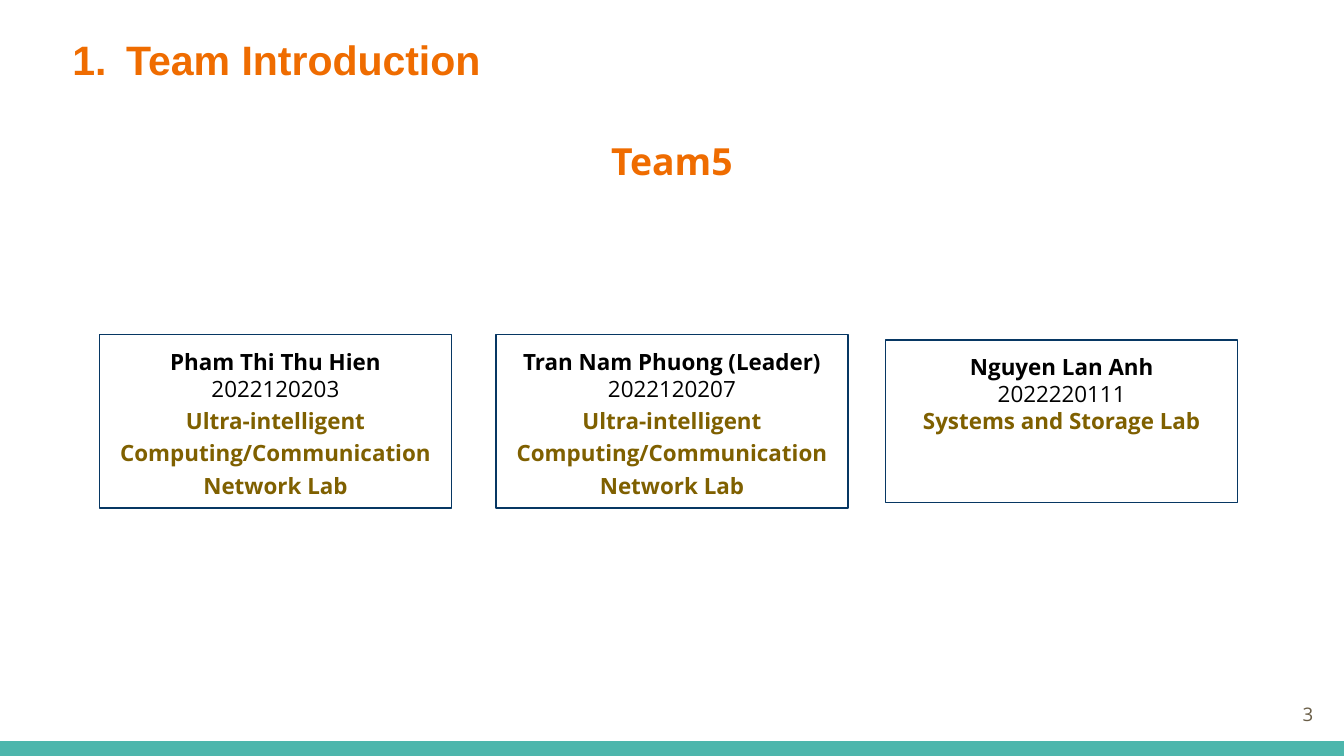
from dataclasses import dataclass

from lxml import etree
from pptx import Presentation
from pptx.dml.color import RGBColor
from pptx.enum import shapes, text
from pptx.oxml.ns import qn
from pptx.util import Pt

PX = 4572  # EMU per px, 200 px to the inch
INSET = 20
ORANGE, NAVY, BROWN, BLACK = "EF6C00", "073763", "7F6000", "000000"
TEAL, GREY = "4DB6AC", "695D46"
CENTER, RIGHT = text.PP_ALIGN.CENTER, text.PP_ALIGN.RIGHT


@dataclass
class Line:
    text: str
    size: int
    color: str
    bold: bool = True
    font: str = "Open Sans"
    align: text.PP_ALIGN = CENTER
    spacing: float = 1.0


@dataclass
class Member:
    name: str
    number: str
    lab: str
    left: int
    top: int
    height: int
    lab_spacing: float


def rgb(color: str) -> RGBColor:
    return RGBColor.from_string(color)


def write(sp, lines: list[Line], anchor=text.MSO_ANCHOR.TOP):
    """Fill a shape with one paragraph per line."""
    tf = sp.text_frame
    frame = {"word_wrap": True, "vertical_anchor": anchor}
    frame.update({f"margin_{side}": INSET * PX
                  for side in ("left", "top", "right", "bottom")})
    for key, value in frame.items():
        setattr(tf, key, value)
    for i, line in enumerate(lines):
        p = tf.add_paragraph() if i else tf.paragraphs[0]
        p.alignment, p.line_spacing = line.align, line.spacing
        r = p.add_run()
        r.text = line.text
        style = {"size": Pt(line.size), "bold": line.bold, "name": line.font}
        for key, value in style.items():
            setattr(r.font, key, value)
        r.font.color.rgb = rgb(line.color)


def add_text(s, box: tuple[int, ...], line: Line, anchor=text.MSO_ANCHOR.TOP):
    sp = s.shapes.add_textbox(*(v * PX for v in box))
    write(sp, [line], anchor)
    return sp


def add_rect(s, box: tuple[int, ...]):
    sp = s.shapes.add_shape(shapes.MSO_SHAPE.RECTANGLE, *(v * PX for v in box))
    sp.shadow.inherit = False
    return sp


def add_card(s, m: Member):
    sp = add_rect(s, (m.left, m.top, 524, m.height))
    sp.fill.background()
    sp.line.color.rgb = rgb(NAVY)
    sp.line.width = Pt(0.75)
    write(sp, [
        Line(m.name, 12, BLACK),
        Line(m.number, 12, BLACK, bold=False),
        Line(m.lab, 12, BROWN, spacing=m.lab_spacing),
    ])


def number_paragraph(p, color: str):
    """Give a paragraph an automatic number with a hanging indent."""
    ppr = p._p.get_or_add_pPr()
    ppr.set("marL", str(100 * PX))
    ppr.set("indent", str(-80 * PX))
    clr = etree.SubElement(ppr, qn("a:buClr"))
    etree.SubElement(clr, qn("a:srgbClr"), val=color)
    etree.SubElement(ppr, qn("a:buFont"), typeface="Arial")
    etree.SubElement(ppr, qn("a:buAutoNum"), type="arabicPeriod")


NETWORK_LAB = "Ultra-intelligent Computing/Communication Network Lab"
MEMBERS = [
    Member("Nguyen Lan Anh", "2022220111", "Systems and Storage Lab",
           1318, 506, 242, 1.0),
    Member("Tran Nam Phuong (Leader)", "2022120207", NETWORK_LAB,
           738, 498, 258, 1.2),
    Member("Pham Thi Thu Hien", "2022120203", NETWORK_LAB,
           148, 498, 258, 1.2),
]


def main():
    prs = Presentation()
    prs.slide_width, prs.slide_height = 2000 * PX, 1125 * PX
    s = prs.slides.add_slide(prs.slide_layouts[6])

    # Footer bar
    bar = add_rect(s, (0, 1103, 2000, 22))
    bar.fill.solid()
    bar.fill.fore_color.rgb = rgb(TEAL)
    bar.line.fill.background()

    # Numbered title
    title = add_text(s, (68, 32, 1864, 108),
                     Line("Team Introduction", 22, ORANGE, font="Arial",
                          align=text.PP_ALIGN.LEFT))
    number_paragraph(title.text_frame.paragraphs[0], ORANGE)

    # Slide number
    add_text(s, (1854, 1020, 120, 86),
             Line("3", 10, GREY, bold=False, align=RIGHT),
             text.MSO_ANCHOR.MIDDLE)

    # Team members
    for member in MEMBERS:
        add_card(s, member)

    # Team name
    add_text(s, (856, 186, 288, 108), Line("Team5", 20, ORANGE))

    prs.save("out.pptx")


if __name__ == "__main__":
    main()
